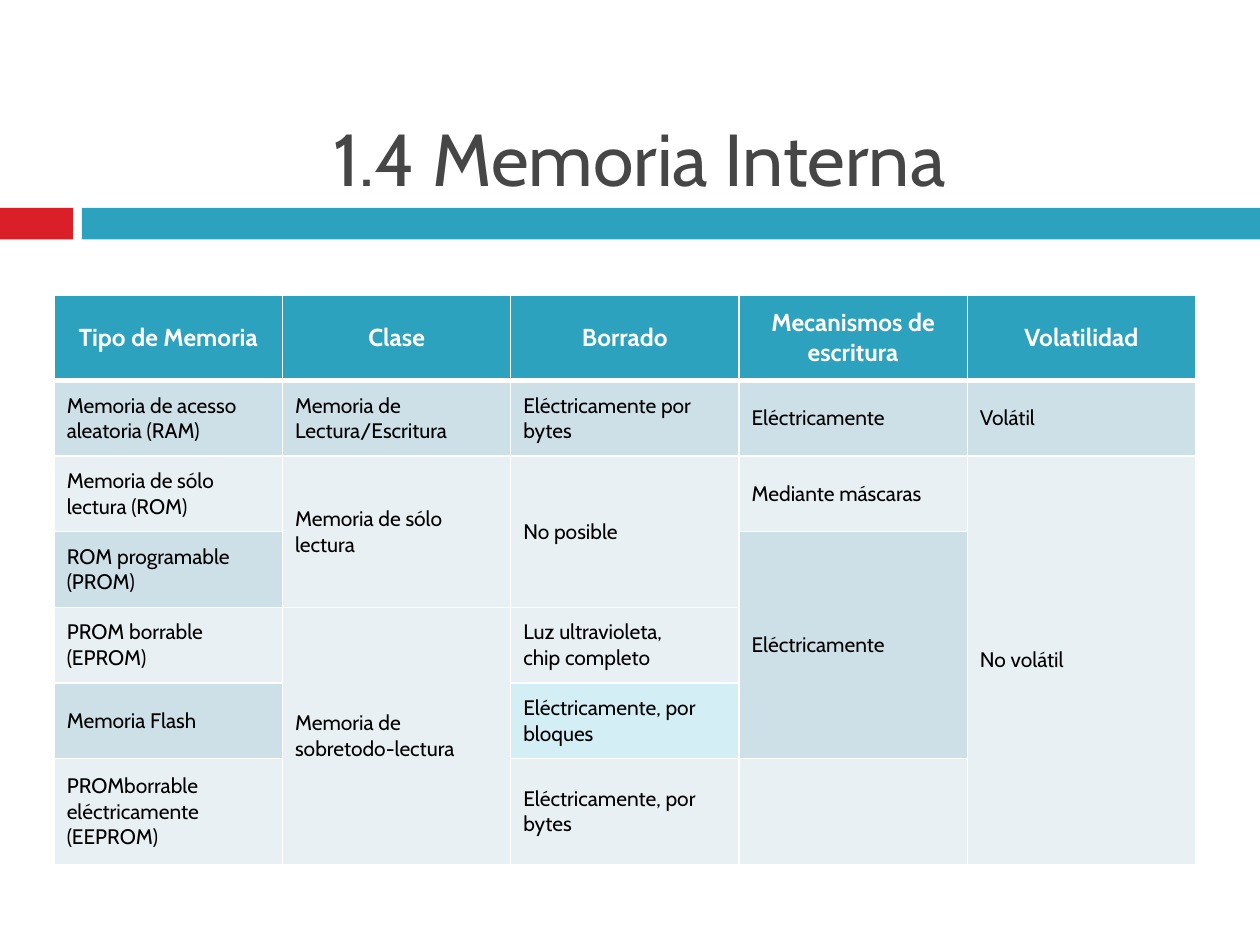
from lxml import etree
from pptx import Presentation
from pptx.dml.color import RGBColor
from pptx.enum import shapes, text
from pptx.oxml import ns
from pptx.util import Inches, Pt

FONT = "Cabin"
COLORS = {
    "red": "DA1F28",
    "teal": "2DA2BF",
    "title": "464646",
    "body": "000000",
    "white": "FFFFFF",
    "dark_band": "CDE0E8",
    "light_band": "E8F0F4",
    "highlight": "D3EEF5",
}
HEADERS = ["Tipo de Memoria", "Clase", "Borrado", "Mecanismos de escritura", "Volatilidad"]
# None marks a cell covered by the merged cell above it.
ROWS = [
    ["Memoria de acesso aleatoria (RAM)", "Memoria de Lectura/Escritura",
     "Eléctricamente por bytes", "Eléctricamente", "Volátil"],
    ["Memoria de sólo lectura (ROM)", "Memoria de sólo lectura",
     "No posible", "Mediante máscaras", "No volátil"],
    ["ROM programable (PROM)", None, None, "Eléctricamente", None],
    ["PROM borrable (EPROM)", "Memoria de sobretodo-lectura",
     "Luz ultravioleta,\nchip completo", None, None],
    ["Memoria Flash", None, "Eléctricamente, por bloques", None, None],
    ["PROMborrable eléctricamente (EEPROM)", None, "Eléctricamente, por bytes", "", None],
]
ROW_HEIGHTS = [0.68] + [0.6] * 5 + [0.84]
HIGHLIGHTED = (5, 2)


def color(name):
    return RGBColor.from_string(COLORS[name])


def add_run(paragraph, words, size, color_name, bold=False):
    run = paragraph.add_run()
    run.text = words
    run.font.name = FONT
    run.font.size = Pt(size)
    run.font.bold = bold
    run.font.color.rgb = color(color_name)


def add_bar(slide, left, top, width, height, color_name):
    bar = slide.shapes.add_shape(shapes.MSO_SHAPE.RECTANGLE, Inches(left), Inches(top),
                                 Inches(width), Inches(height))
    bar.shadow.inherit = False
    bar.fill.solid()
    bar.fill.fore_color.rgb = color(color_name)
    bar.line.fill.background()


def add_divider(slide, left, top, width, height):
    accent_width, bar_start = 0.58, 0.65
    add_bar(slide, left, top, accent_width, height, "red")
    add_bar(slide, left + bar_start, top, width - bar_start, height, "teal")


def place_title(slide, left, top, width, height, words):
    title = slide.shapes.title
    title.left, title.top = Inches(left), Inches(top)
    title.width, title.height = Inches(width), Inches(height)
    frame = title.text_frame
    frame.auto_size = text.MSO_AUTO_SIZE.NONE
    frame.word_wrap = True
    frame.vertical_anchor = text.MSO_ANCHOR.BOTTOM
    frame.margin_left = frame.margin_right = Inches(0.08)
    frame.margin_top = frame.margin_bottom = Inches(0.04)
    paragraph = frame.paragraphs[0]
    paragraph.alignment = text.PP_ALIGN.CENTER
    add_run(paragraph, words, 42, "title")


def set_borders(cell, top=1, bottom=1):
    """Draw white cell borders; widths are in points."""
    properties = cell._tc.get_or_add_tcPr()
    widths = {"a:lnL": 1, "a:lnR": 1, "a:lnT": top, "a:lnB": bottom}
    for position, (tag, width) in enumerate(widths.items()):
        line = etree.Element(ns.qn(tag), w=str(Pt(width)))
        fill = etree.SubElement(line, ns.qn("a:solidFill"))
        etree.SubElement(fill, ns.qn("a:srgbClr"), val=COLORS["white"])
        properties.insert(position, line)


def fill_cell(cell, words, fill_name, is_header):
    cell.fill.solid()
    cell.fill.fore_color.rgb = color(fill_name)
    cell.vertical_anchor = text.MSO_ANCHOR.MIDDLE
    if not words:
        return
    for index, line in enumerate(words.split("\n")):
        frame = cell.text_frame
        paragraph = frame.add_paragraph() if index else frame.paragraphs[0]
        if is_header:
            paragraph.alignment = text.PP_ALIGN.CENTER
            add_run(paragraph, line, 14, "white", bold=True)
        else:
            paragraph.alignment = text.PP_ALIGN.LEFT
            add_run(paragraph, line, 12, "body")


def fill_name_for(row, column):
    if row == 0:
        return "teal"
    if (row, column) == HIGHLIGHTED:
        return "highlight"
    return "dark_band" if row % 2 else "light_band"


def merge_covered_cells(table, rows):
    for column in range(len(HEADERS)):
        for row in range(len(rows)):
            last = row
            while last + 1 < len(rows) and rows[last + 1][column] is None:
                last += 1
            if rows[row][column] is not None and last > row:
                table.cell(row, column).merge(table.cell(last, column))


def add_memory_table(slide, left, top, width, height):
    rows = [HEADERS] + ROWS
    table = slide.shapes.add_table(len(rows), len(HEADERS), Inches(left), Inches(top),
                                   Inches(width), Inches(height)).table
    for column in table.columns:
        column.width = Inches(width / len(HEADERS))
    for row, row_height in zip(table.rows, ROW_HEIGHTS):
        row.height = Inches(row_height)
    for row, values in enumerate(rows):
        for column, words in enumerate(values):
            cell = table.cell(row, column)
            fill_cell(cell, words, fill_name_for(row, column), row == 0)
            set_borders(cell, top=3 if row == 1 else 1, bottom=3 if row == 0 else 1)
    merge_covered_cells(table, rows)


def main():
    presentation = Presentation()
    presentation.slide_width, presentation.slide_height = Inches(10), Inches(7.5)
    slide = presentation.slides.add_slide(presentation.slide_layouts.get_by_name("Title Only"))
    add_divider(slide, 0, 1.65, 10, 0.25)
    place_title(slide, 0.98, 0.17, 8.19, 1.47, "1.4 Memoria Interna")
    add_memory_table(slide, 0.43, 2.34, 9.06, sum(ROW_HEIGHTS))
    presentation.save("out.pptx")


if __name__ == "__main__":
    main()
